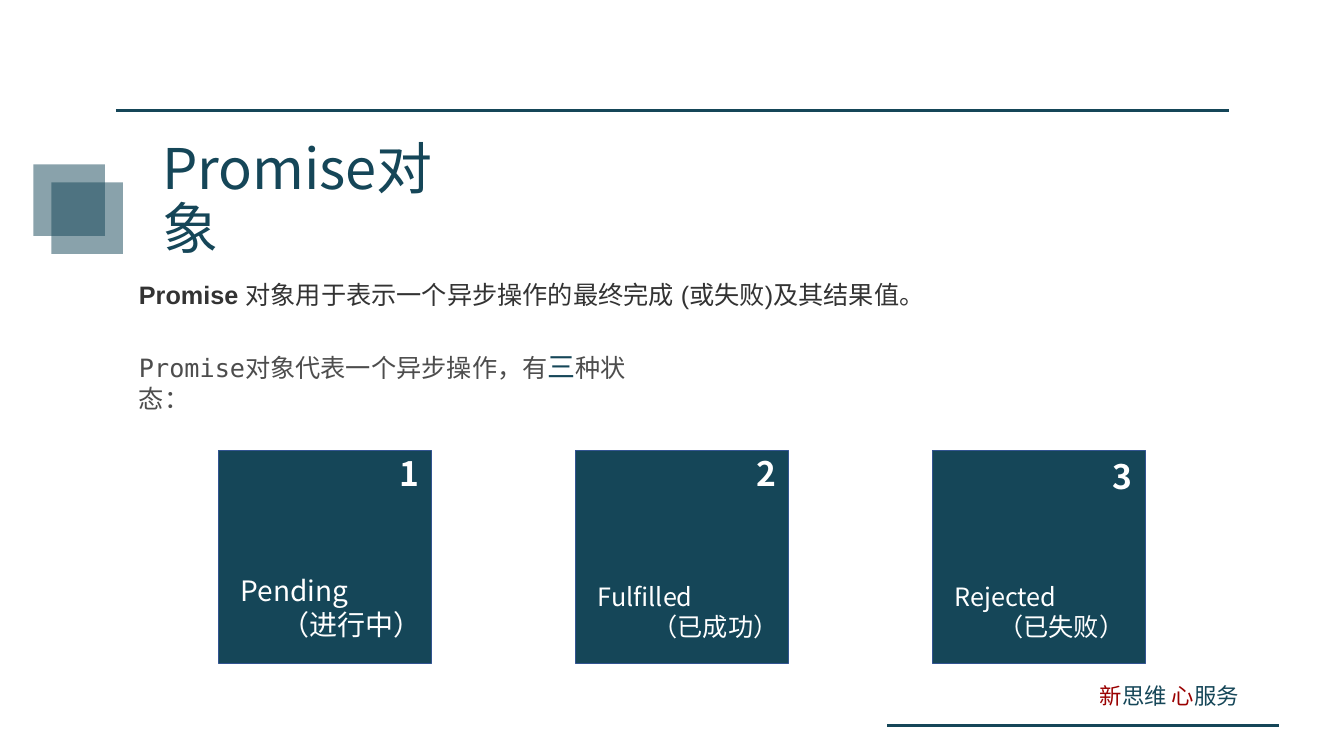
from lxml.etree import SubElement
from pptx import Presentation
from pptx.dml.color import RGBColor
from pptx.enum.shapes import MSO_CONNECTOR, MSO_SHAPE
from pptx.enum.text import MSO_ANCHOR, MSO_AUTO_SIZE, PP_ALIGN
from pptx.oxml.ns import qn
from pptx.util import Pt

PX = 9144  # EMU per px, 100 px to the inch
HEX = {"teal": "154658", "red": "9A0000", "dark": "333333",
       "grey": "4D4D4D", "edge": "325491", "white": "FFFFFF"}
SANS, MONO, ARIAL = "Noto Sans CJK SC", "DejaVu Sans Mono", "Arial"

# Content: each run is text, size, colour, font, bold
TITLE = [("Promise对象", 40, "teal", SANS, False)]
INTRO = [("Promise\u00a0", 18, "dark", ARIAL, True),
         ("对象用于表示一个异步操作的最终完成 (或失败)及其结果值。", 18, "dark", ARIAL, False)]
LEAD = [("Promise", 18, "grey", MONO, False),
        ("对象代表一个异步操作，有", 18, "grey", SANS, False),
        ("三", 20, "teal", SANS, False),
        ("种状态：", 18, "grey", SANS, False)]
MOTTO = [("新", 16, "red", SANS, False), ("思维 ", 16, "teal", SANS, False),
         ("心", 16, "red", SANS, False), ("服务", 16, "teal", SANS, False)]
# State name, gloss, size, label top, width and height, number top
STATES = [("Pending", "（进行中）", 20, 564, 199, 77, 444),
          ("Fulfilled", "（已成功）", 18, 572, 199, 71, 444),
          ("Rejected", "（已失败）", 18, 572, 188, 71, 447)]
RULES = [(115, 110, 1219), (880, 720, 1269)]  # left, y, right
LEFT, TOP, SIDE, STEP = 217, 447, 211, 354
TEXTS = [((128, 272, 797, 40), INTRO), ((128, 342, 524, 44), LEAD),
         ((1081, 672, 168, 37), MOTTO)]

deck = Presentation()
deck.slide_width, deck.slide_height = 1333 * PX, 750 * PX
slide = deck.slides.add_slide(deck.slide_layouts[6])
shapes = slide.shapes


def emu(*nums):
    return [n * PX for n in nums]


def color(name):
    return RGBColor.from_string(HEX[name])


def write(box, *paras, **form):
    """Add a text box; each para is a list of runs."""
    frame = shapes.add_textbox(*emu(*box)).text_frame
    look = {"word_wrap": True, "auto_size": MSO_AUTO_SIZE.SHAPE_TO_FIT_TEXT, **form}
    for key, val in look.items():
        setattr(frame, key, val)
    for i, runs in enumerate(paras):
        para = frame.add_paragraph() if i else frame.paragraphs[0]
        if i:
            para.alignment = PP_ALIGN.RIGHT
        for text, size, tint, face, bold in runs:
            run = para.add_run()
            run.text = text
            for key, val in {"size": Pt(size), "name": face, "bold": bold}.items():
                setattr(run.font, key, val)
            run.font.color.rgb = color(tint)
            SubElement(run.font._element, qn("a:ea"), typeface=face)
    return frame


def square(x, y, side, alpha=None):
    box = shapes.add_shape(MSO_SHAPE.RECTANGLE, *emu(x, y, side, side))
    box.shadow.inherit = False
    box.fill.solid()
    box.fill.fore_color.rgb = color("teal")
    if alpha:
        tint = box._element.spPr.find(qn("a:solidFill"))[0]
        SubElement(tint, qn("a:alpha"), val=str(alpha * 1000))
        box.line.fill.background()
    else:
        box.line.color.rgb = color("edge")
        box.line.width = Pt(1)


# Title and texts
head = write((151, 158, 325, 84), TITLE, auto_size=MSO_AUTO_SIZE.NONE,
             vertical_anchor=MSO_ANCHOR.MIDDLE)
head.paragraphs[0].line_spacing = 0.9
for box, runs in TEXTS:
    write(box, runs)

# Rules
for x, y, end in RULES:
    rule = shapes.add_connector(MSO_CONNECTOR.STRAIGHT, *emu(x, y, end, y))
    rule.line.color.rgb = color("teal")
    rule.line.width = Pt(2.25)
    SubElement(rule._element.spPr, qn("a:effectLst"))

# State cards
for i, (name, gloss, size, top, wide, high, rise) in enumerate(STATES):
    x = LEFT + i * STEP
    square(x, TOP, SIDE)
    write((x + 12, top, wide, high), *[[(word, size, "white", SANS, False)]
                                       for word in (name, gloss)])
    write((x + 169, rise, 42, 50), [(str(i + 1), 24, "white", SANS, True)])

# Overlapping squares beside the title
for shift in (0, 18):
    square(33 + shift, 163 + shift, 71, alpha=50)

deck.save("out.pptx")
